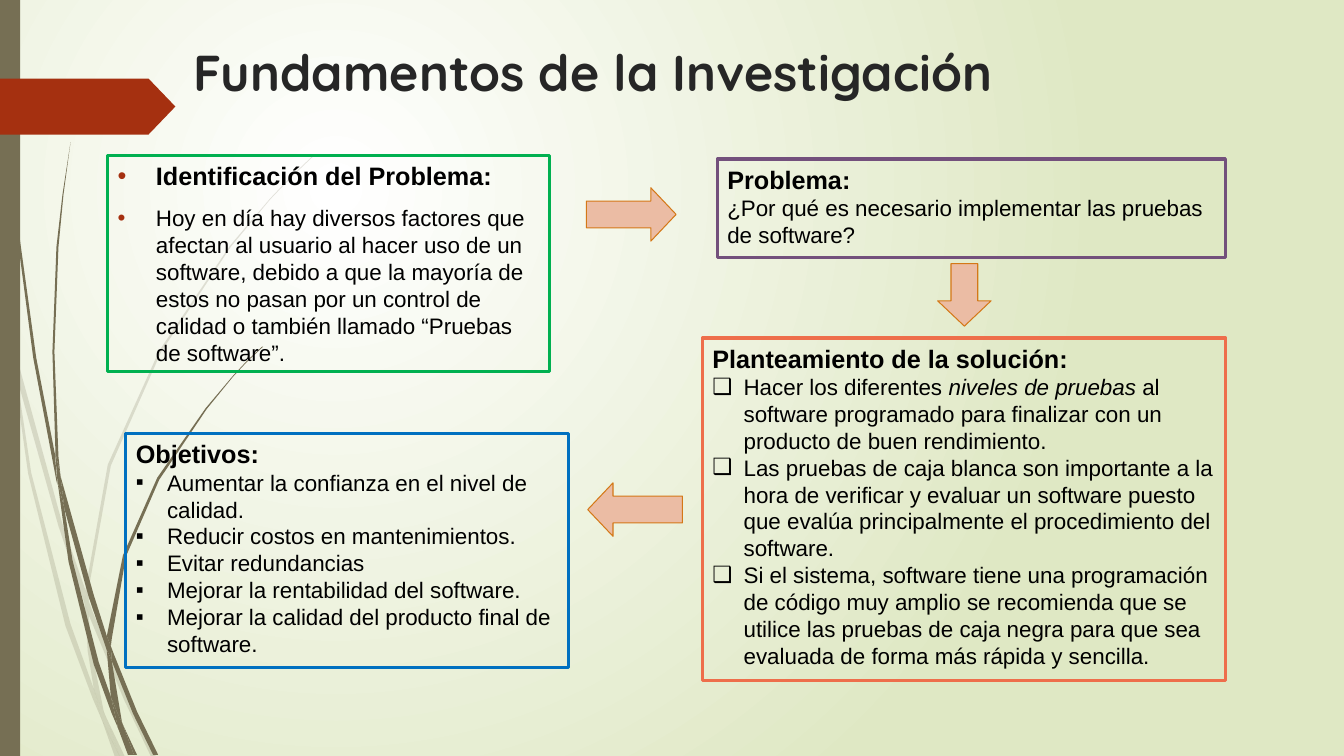
import lxml.etree
import pptx
import pptx.dml.color
import pptx.enum.shapes
import pptx.enum.text
import pptx.oxml
import pptx.oxml.ns
import pptx.util

SLIDE_HEIGHT = pptx.util.Inches(7.5)
SLIDE_WIDTH = SLIDE_HEIGHT * 16 // 9
GRASS_COLUMNS, GRASS_ROWS = 312, 750
RECTANGLE = pptx.enum.shapes.MSO_SHAPE.RECTANGLE
PENTAGON = pptx.enum.shapes.MSO_SHAPE.PENTAGON
RIGHT_ARROW = pptx.enum.shapes.MSO_SHAPE.RIGHT_ARROW

PALE_BLADES = [
    [(11, 350), (9, 322), (0, 282), (0, 299), (10, 344)],
    [(58, 522), (84, 599), (85, 586), (62, 520), (14, 345), (17, 376)],
    [(92, 607), (88, 596), (88, 610), (123, 694), (150, 751), (155, 751), (127, 692)],
    [(119, 751), (124, 751), (105, 711)],
    [(93, 683), (70, 619), (31, 469), (17, 376), (11, 350), (28, 470), (65, 621), (92, 693),
     (101, 714), (99, 707)],
    [(84, 599), (87, 646), (93, 683), (96, 692), (105, 711), (103, 706), (91, 646), (88, 610),
     (88, 608)],
    [(88, 584), (110, 462), (160, 349), (229, 245), (268, 198), (290, 175), (312, 154),
     (312, 153), (289, 175), (268, 197), (228, 244), (158, 348), (107, 461), (85, 584),
     (85, 586), (88, 596)],
    [(101, 714), (114, 751), (119, 751)],
    [(88, 608), (88, 610), (88, 596), (85, 586), (84, 599)],
    [(96, 692), (93, 683), (99, 707), (101, 714), (119, 751), (105, 711)],
]
DARK_BLADES = [
    [(7, 110), (17, 233), (33, 355), (56, 477), (57, 481), (55, 457), (55, 453), (36, 355),
     (19, 232), (8, 109), (5, 48), (4, 0), (3, 0), (4, 48)],
    [(88, 592), (106, 645), (106, 633), (106, 631), (93, 590), (60, 472), (64, 505)],
    [(113, 649), (110, 641), (111, 656), (132, 708), (152, 749), (157, 749), (136, 706)],
    [(110, 691), (98, 657), (72, 556), (64, 505), (57, 477), (68, 557), (93, 659), (111, 708),
     (117, 722), (116, 717)],
    [(60, 472), (58, 453), (54, 349), (58, 245), (63, 193), (70, 141), (62, 193), (56, 245),
     (52, 349), (55, 449)],
    [(133, 749), (136, 749), (122, 719)],
    [(57, 477), (64, 505), (60, 472), (55, 449), (55, 453)],
    [(111, 633), (125, 552), (158, 476), (205, 406), (231, 374), (245, 359), (261, 344),
     (260, 344), (245, 358), (231, 373), (204, 405), (156, 474), (122, 551), (106, 631),
     (110, 641)],
    [(117, 722), (127, 749), (131, 749)],
    [(106, 645), (110, 691), (116, 706), (122, 719), (121, 716), (111, 656), (109, 651)],
    [(106, 645), (109, 651), (111, 656), (110, 641), (106, 631), (106, 633)],
    [(116, 706), (110, 691), (116, 717), (117, 722), (130, 749), (133, 749), (122, 719)],
]


def color(hex_value):
    return pptx.dml.color.RGBColor.from_string(hex_value)


def place(left, top, width, height):
    return (round(SLIDE_WIDTH * left / 100), round(SLIDE_HEIGHT * top / 100),
            round(SLIDE_WIDTH * width / 100), round(SLIDE_HEIGHT * height / 100))


def add_element(parent, tag, **attributes):
    values = {name: str(value) for name, value in attributes.items()}
    return lxml.etree.SubElement(parent, pptx.oxml.ns.qn(tag), values)


def style_shape(shape, fill=None, line=None, line_width=0.75):
    shape.shadow.inherit = False
    if fill:
        shape.fill.solid()
        shape.fill.fore_color.rgb = color(fill)
    else:
        shape.fill.background()
    if line:
        shape.line.color.rgb = color(line)
        shape.line.width = pptx.util.Pt(line_width)
    else:
        shape.line.fill.background()


def add_shape(slide, kind, box, **style):
    shape = slide.shapes.add_shape(kind, *box)
    style_shape(shape, **style)
    return shape


def style_font(font, size, name="Arial", hex_value="000000", bold=False):
    font.name = name
    font.size = pptx.util.Pt(size)
    font.color.rgb = color(hex_value)
    font.bold = bold


def set_background(slide):
    fill = slide.background.fill
    fill.gradient()
    for stop, hex_value in zip(fill.gradient_stops, ("FFFFFF", "DFE8C4")):
        stop.color.rgb = color(hex_value)
    gradient = slide.background._cSld.find(".//" + pptx.oxml.ns.qn("a:gradFill"))
    linear = gradient.find(pptx.oxml.ns.qn("a:lin"))
    circle = lxml.etree.Element(pptx.oxml.ns.qn("a:path"), {"path": "circle"})
    add_element(circle, "a:fillToRect", l=50000, t=50000, r=100000, b=100000)
    gradient.replace(linear, circle)


def draw_grass(slide, box, blades, opacity=None):
    left, top, width, height = box
    for outline in blades:
        points = [(round(left + x * width / GRASS_COLUMNS), round(top + y * height / GRASS_ROWS))
                  for x, y in outline]
        builder = slide.shapes.build_freeform(*points[0])
        builder.add_line_segments(points[1:], close=True)
        blade = builder.convert_to_shape()
        style_shape(blade, fill="766F54")
        if opacity:
            blade_color = blade.fill._xPr.find(".//" + pptx.oxml.ns.qn("a:srgbClr"))
            add_element(blade_color, "a:alpha", val=opacity * 1000)


def draw_decoration(slide):
    grass_box = place(0, 0, 23.4, 100)
    draw_grass(slide, grass_box, PALE_BLADES, 20)
    draw_grass(slide, grass_box, DARK_BLADES)
    add_shape(slide, RECTANGLE, place(0, 0, 1.5, 100), fill="766F54")
    tag = add_shape(slide, PENTAGON, place(0, 10.4, 13.05, 7.4), fill="A53010")
    tag.adjustments[0] = 0.48


def draw_title(slide, box, text):
    frame = slide.shapes.add_textbox(*box).text_frame
    frame.word_wrap = True
    frame.text = text
    style_font(frame.paragraphs[0].runs[0].font, 36, "Quicksand", "262626", True)


def add_bullet(paragraph, symbol, indent, bullet_color):
    properties = paragraph._p.get_or_add_pPr()
    margin = pptx.util.Inches(indent)
    properties.set("marL", str(margin))
    properties.set("indent", str(-margin))
    if bullet_color:
        add_element(add_element(properties, "a:buClr"), "a:srgbClr", val=bullet_color)
    add_element(properties, "a:buFont", typeface="Arial")
    add_element(properties, "a:buChar", char=symbol)


def draw_panel(slide, box, outline, heading, items, symbol=None, indent=0.31,
               bullet_color=None, bullet_heading=False, space_before=0, italic_phrase=None):
    panel = add_shape(slide, RECTANGLE, box, line=outline, line_width=2.25)
    frame = panel.text_frame
    frame.word_wrap = True
    frame.vertical_anchor = pptx.enum.text.MSO_ANCHOR.TOP
    for index, text in enumerate([heading, *items]):
        is_heading = index == 0
        paragraph = frame.paragraphs[0] if is_heading else frame.add_paragraph()
        paragraph.alignment = pptx.enum.text.PP_ALIGN.LEFT
        if not is_heading and space_before:
            paragraph.space_before = pptx.util.Pt(space_before)
        if symbol and (bullet_heading or not is_heading):
            add_bullet(paragraph, symbol, indent, bullet_color)
        parts = text.partition(italic_phrase) if italic_phrase else (text,)
        for part in filter(None, parts):
            run = paragraph.add_run()
            run.text = part
            style_font(run.font, 18 if is_heading else 16, bold=is_heading)
            run.font.italic = part == italic_phrase


def draw_arrow(slide, box, rotation):
    arrow = add_shape(slide, RIGHT_ARROW, box, fill="EBBCA4", line="D47817")
    arrow.adjustments[1] = 0.473
    arrow.rotation = rotation


def build_slide(slide):
    set_background(slide)
    draw_decoration(slide)
    draw_title(slide, place(13.65, 4.8, 62.04, 11.73), "Fundamentos de la Investigación")
    draw_panel(slide, place(8.02, 20.55, 32.9, 28.6), "00B050", "Identificación del Problema:", [
        "Hoy en día hay diversos factores que afectan al usuario al hacer uso de un software, debido a que la mayoría de estos no pasan por un control de calidad o también llamado “Pruebas de software”.",
    ], "•", 0.38, "A53010", bullet_heading=True, space_before=10)
    draw_panel(slide, place(53.38, 21.03, 37.8, 13.07), "73507C", "Problema:", [
        "¿Por qué es necesario implementar las pruebas de software?",
    ])
    draw_panel(slide, place(52.27, 44.72, 38.92, 45.3), "EE6E4B", "Planteamiento de la solución:", [
        "Hacer los diferentes niveles de pruebas al software programado para finalizar con un producto de buen rendimiento.",
        "Las pruebas de caja blanca son importante a la hora de verificar y evaluar un software puesto que evalúa principalmente el procedimiento del software.",
        "Si el sistema, software tiene una programación de código muy amplio se recomienda que se utilice las pruebas de caja negra para que sea evaluada de forma más rápida y sencilla.",
    ], "❑", italic_phrase="niveles de pruebas")
    draw_panel(slide, place(9.37, 57.36, 32.92, 30.93), "0070C0", "Objetivos:", [
        "Aumentar la confianza en el nivel de calidad.",
        "Reducir costos en mantenimientos.",
        "Evitar redundancias",
        "Mejorar la rentabilidad del software.",
        "Mejorar la calidad del producto final de software.",
    ], "▪")
    draw_arrow(slide, place(43.63, 24.83, 6.68, 7.07), 0)
    draw_arrow(slide, place(69.43, 35.47, 4.65, 7.07), 90)
    draw_arrow(slide, place(43.73, 63.87, 7.05, 7.07), 180)


def main():
    presentation = pptx.Presentation()
    presentation.slide_width = SLIDE_WIDTH
    presentation.slide_height = SLIDE_HEIGHT
    build_slide(presentation.slides.add_slide(presentation.slide_layouts[6]))
    presentation.save("out.pptx")


if __name__ == "__main__":
    main()
